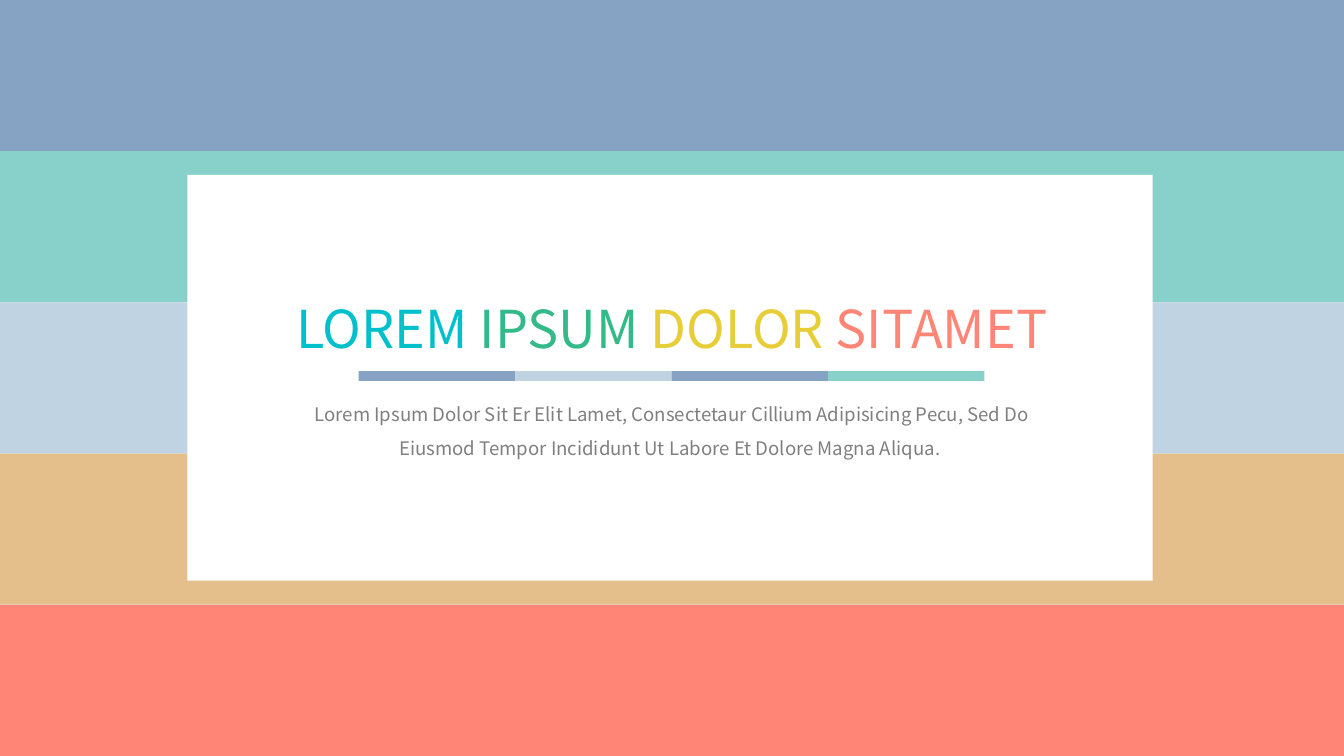
from pptx import Presentation
from pptx import util as u
from pptx.dml.color import RGBColor
from pptx.enum import shapes, text

FONT = "Noto Sans CJK SC"
COLORS = {
    "blue": "86A3C3",
    "mint": "88D1CA",
    "pale": "C0D3E2",
    "sand": "E4BF8B",
    "coral": "FF8577",
    "white": "FFFFFF",
    "cyan": "00C0CB",
    "green": "34BA89",
    "yellow": "E7CE39",
    "gray": "7F7F7F",
}
STRIPES = ["blue", "mint", "pale", "sand", "coral"]
DIVIDER = ["blue", "pale", "blue", "mint"]
TITLE = [("LOREM ", "cyan"), ("IPSUM ", "green"), ("DOLOR ", "yellow"), ("SITAMET", "coral")]
BODY = [(
    "Lorem Ipsum Dolor Sit Er Elit Lamet, Consectetaur Cillium Adipisicing Pecu, "
    "Sed Do Eiusmod Tempor Incididunt Ut Labore Et Dolore Magna Aliqua. ",
    "gray",
)]


def add_block(slide, left, top, width, height, color):
    shape = slide.shapes.add_shape(
        shapes.MSO_SHAPE.RECTANGLE, u.Cm(left), u.Cm(top), u.Cm(width), u.Cm(height))
    shape.shadow.inherit = False
    shape.fill.solid()
    shape.fill.fore_color.rgb = RGBColor.from_string(COLORS[color])
    shape.line.fill.background()


def add_text(slide, left, top, width, height, runs, size, spacing=1.0):
    box = slide.shapes.add_textbox(u.Cm(left), u.Cm(top), u.Cm(width), u.Cm(height))
    frame = box.text_frame
    frame.word_wrap = True
    frame.auto_size = text.MSO_AUTO_SIZE.SHAPE_TO_FIT_TEXT
    paragraph = frame.paragraphs[0]
    paragraph.alignment = text.PP_ALIGN.CENTER
    paragraph.line_spacing = spacing
    for words, color in runs:
        run = paragraph.add_run()
        run.text = words
        run.font.name = FONT
        run.font.size = u.Pt(size)
        run.font.color.rgb = RGBColor.from_string(COLORS[color])


def add_stripes(slide, left, top, width, height):
    stripe_height = height / len(STRIPES)
    for index, color in enumerate(STRIPES):
        add_block(slide, left, top + index * stripe_height, width, stripe_height, color)


def add_divider(slide, left, top, width, height):
    part_width = width / len(DIVIDER)
    for index, color in enumerate(DIVIDER):
        add_block(slide, left + index * part_width, top, part_width, height, color)


def add_card(slide, left, top, width, height):
    add_block(slide, left, top, width, height, "white")
    add_divider(slide, left + 4.32, top + 4.94, 15.77, 0.25)
    add_text(slide, left + 1.3, top + 2.92, 21.82, 1.85, TITLE, 37.3)
    add_text(slide, left + 2.8, top + 5.34, 18.84, 1.88, BODY, 13.3, 1.5)


def main():
    presentation = Presentation()
    presentation.slide_width = u.Cm(33.87)
    presentation.slide_height = u.Cm(19.05)
    slide = presentation.slides.add_slide(presentation.slide_layouts[6])
    add_stripes(slide, 0, 0, 33.87, 19.05)
    add_card(slide, 4.72, 4.41, 24.33, 10.22)
    presentation.save("out.pptx")


if __name__ == "__main__":
    main()
